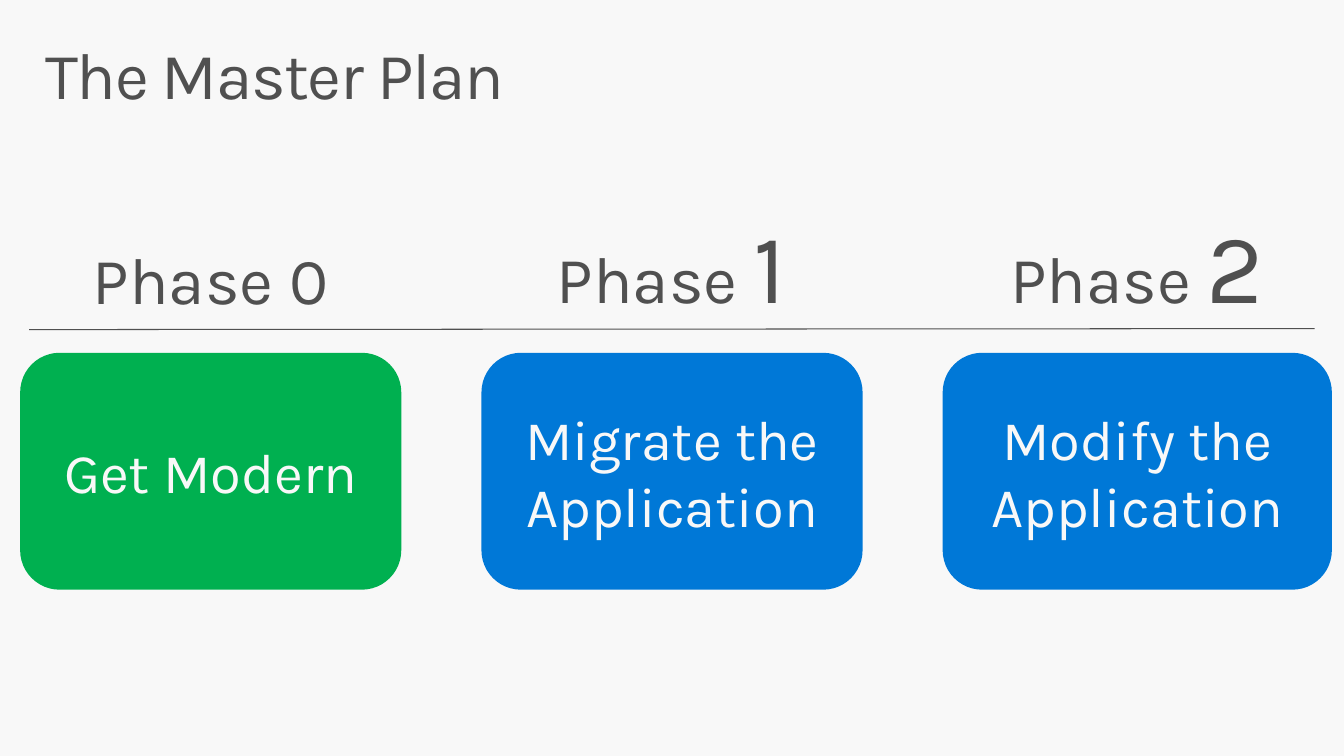
from dataclasses import dataclass

from lxml.etree import SubElement
from pptx import Presentation
from pptx.dml.color import RGBColor as RGB
from pptx.enum.shapes import MSO_CONNECTOR as LINK, MSO_SHAPE as SHAPE
from pptx.enum.text import MSO_ANCHOR as ANCHOR, MSO_AUTO_SIZE as FIT, PP_ALIGN as ALIGN
from pptx.oxml.ns import qn
from pptx.util import Inches, Pt


@dataclass(frozen=True)
class Theme:
    """Colours, font and type sizes of the slide."""
    back: RGB = RGB(0xF8, 0xF8, 0xF8)
    ink: RGB = RGB(0x50, 0x50, 0x50)
    blue: RGB = RGB(0x00, 0x78, 0xD7)
    green: RGB = RGB(0x00, 0xB0, 0x50)
    font: str = "Karla"
    head: float = 47
    large: float = 70.6
    card: float = 40


THEME = Theme()


def set_font(para, size, color):
    """Give a paragraph its font, size and colour."""
    font = para.font
    font.name, font.size = THEME.font, Pt(size)
    font.color.rgb = color


def set_frame(frame, side, edge):
    """Wrap a text frame and set its insets."""
    frame.word_wrap = True
    frame.margin_left = frame.margin_right = Inches(side)
    frame.margin_top = frame.margin_bottom = Inches(edge)


def add_title(slide, text):
    """Add the slide title with tight letter spacing."""
    box = slide.shapes.add_textbox(Inches(0.29), Inches(0.32), Inches(12.75), Inches(0.98))
    set_frame(box.text_frame, 0.16, 0.1)
    para = box.text_frame.paragraphs[0]
    para.line_spacing = 0.9
    run = para.add_run()
    run.text = text
    run.font.language_id = None
    run.font._element.set("spc", "-100")
    set_font(para, THEME.head, THEME.ink)


def add_card(slide, left, width, text, fill):
    """Add a rounded card with centred text."""
    card = slide.shapes.add_shape(
        SHAPE.ROUNDED_RECTANGLE, Inches(left), Inches(3.5), Inches(width), Inches(2.35))
    card.shadow.inherit = False
    card.fill.solid()
    card.fill.fore_color.rgb = fill
    card.line.fill.background()
    frame = card.text_frame
    set_frame(frame, 0, 0.05)
    frame.vertical_anchor = ANCHOR.MIDDLE
    para = frame.paragraphs[0]
    para.text = text
    para.alignment = ALIGN.CENTER
    set_font(para, THEME.card, THEME.back)


def add_label(slide, left, top, height, digit, size):
    """Add a phase label whose digit has its own size."""
    box = slide.shapes.add_textbox(Inches(left), Inches(top), Inches(3.1), Inches(height))
    frame = box.text_frame
    set_frame(frame, 0.2, 0.16)
    frame.auto_size = FIT.SHAPE_TO_FIT_TEXT
    para = frame.paragraphs[0]
    para.alignment = ALIGN.CENTER
    para.line_spacing = 0.9
    para.space_after = Pt(5.9)
    set_font(para, THEME.head, THEME.ink)
    para.add_run().text = "Phase "
    run = para.add_run()
    run.text = digit
    run.font.size = Pt(size)


def add_rule(slide):
    """Add the thin line between labels and cards."""
    rule = slide.shapes.add_connector(
        LINK.STRAIGHT, Inches(0.29), Inches(3.27), Inches(13.04), Inches(3.26))
    rule.line.color.rgb = THEME.ink
    rule.line.width = Pt(0.75)
    SubElement(rule._element.spPr, qn("a:effectLst"))


def main():
    """Build the slide and save it."""
    deck = Presentation()
    deck.slide_width, deck.slide_height = Inches(13.33), Inches(7.5)
    slide = deck.slides.add_slide(deck.slide_layouts[6])
    slide.background.fill.solid()
    slide.background.fill.fore_color.rgb = THEME.back

    add_title(slide, "The Master Plan")
    add_rule(slide)
    cards = [
        ("Get Modern", THEME.green, 3.78),
        ("Migrate the Application", THEME.blue, 3.78),
        ("Modify the Application", THEME.blue, 3.86),
    ]
    for step, (text, fill, width) in enumerate(cards):
        add_card(slide, 0.2 + 4.575 * step, width, text, fill)
    labels = [
        (0.54, 2.3, 1.03, THEME.head),
        (5.11, 2, 1.39, THEME.large),
        (9.73, 2, 1.39, THEME.large),
    ]
    for step, (left, top, height, size) in enumerate(labels):
        add_label(slide, left, top, height, str(step), size)
    deck.save("out.pptx")


if __name__ == "__main__":
    main()
